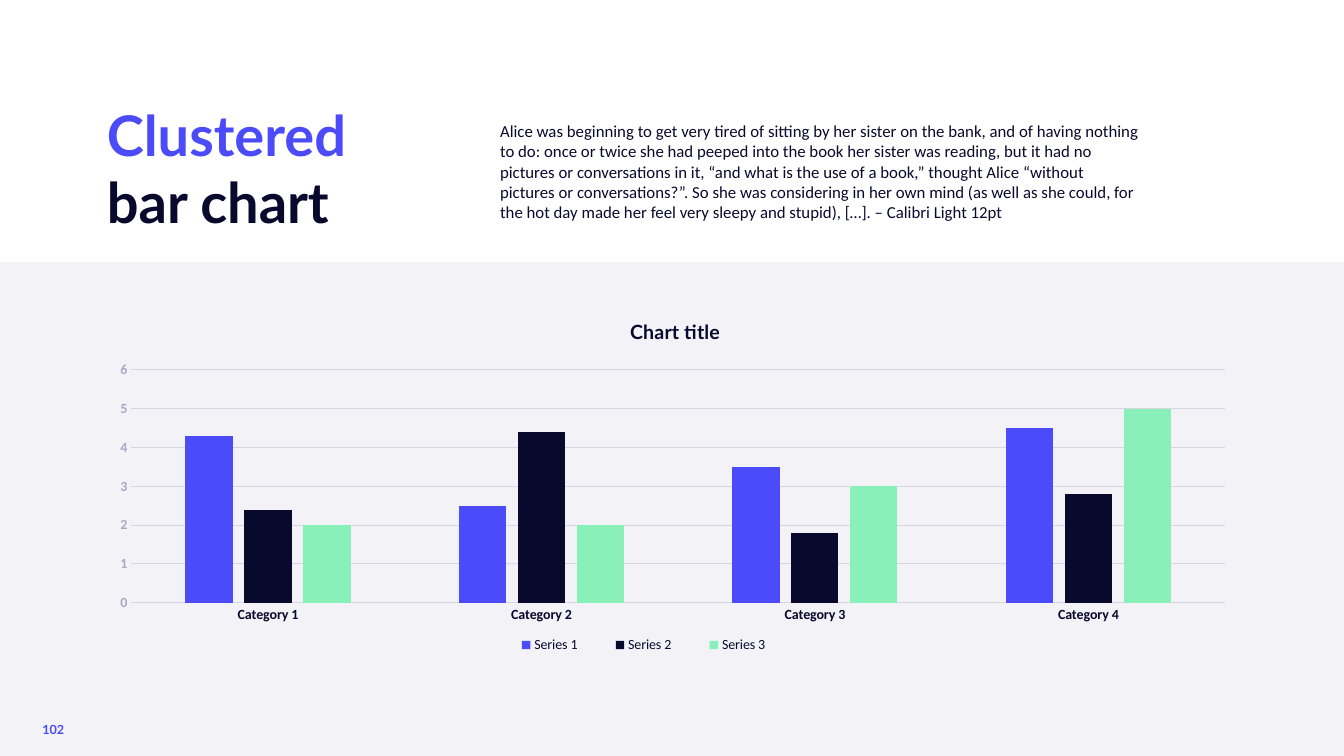
from lxml import etree
from pptx import Presentation
from pptx.chart.data import CategoryChartData
from pptx.dml.color import RGBColor
from pptx.enum.chart import XL_CHART_TYPE, XL_LEGEND_POSITION, XL_TICK_MARK
from pptx.enum.shapes import MSO_SHAPE
from pptx.enum.text import MSO_ANCHOR, MSO_AUTO_SIZE, PP_ALIGN
from pptx.oxml.ns import qn
from pptx.util import Inches, Pt

BLUE = RGBColor(0x4B, 0x4B, 0xF9)
NAVY = RGBColor(0x09, 0x09, 0x2D)
MINT = RGBColor(0x8A, 0xF0, 0xBA)
PALE = RGBColor(0xF3, 0xF3, 0xF7)
GRID = RGBColor(0xD6, 0xD6, 0xE3)
GRAY = RGBColor(0xA9, 0xA9, 0xC6)

STORY = (
    "Alice was beginning to get very tired of sitting by her sister on the bank, "
    "and of having nothing to do: once or twice she had peeped into the book her "
    "sister was reading, but it had no pictures or conversations in it, “and what "
    "is the use of a book,” thought Alice “without pictures or conversations?”. "
    "So she was considering in her own mind (as well as she could, for the hot day "
    "made her feel very sleepy and stupid), […]. – Calibri Light 12pt"
)
CATS = [f"Category {n}" for n in range(1, 5)]
SERIES = [
    ("Series 1", (4.3, 2.5, 3.5, 4.5), BLUE),
    ("Series 2", (2.4, 4.4, 1.8, 2.8), NAVY),
    ("Series 3", (2, 2, 3, 5), MINT),
]


class Page:
    head = "Lato"
    text = "Calibri"

    def __init__(self, deck):
        self.slide = deck.slides.add_slide(deck.slide_layouts[1])

    def style(self, font, name, size, color, bold=False):
        font.name, font.size, font.bold = name, Pt(size), bold
        font.color.rgb = color

    def line(self, line, color=GRID):
        line.color.rgb = color
        line.width = Pt(0.75)

    def band(self, *box):
        shape = self.slide.shapes.add_shape(MSO_SHAPE.RECTANGLE, *map(Inches, box))
        shape.shadow.inherit = False
        shape.fill.solid()
        shape.fill.fore_color.rgb = PALE
        shape.line.fill.background()

    def fill(self, shape, box, text, name, size, colors, bold=False):
        """Move a text shape and set its text, one colour per run."""
        shape.left, shape.top, shape.width, shape.height = map(Inches, box)
        frame = shape.text_frame
        frame.word_wrap = True
        frame.auto_size = MSO_AUTO_SIZE.SHAPE_TO_FIT_TEXT
        frame.vertical_anchor = MSO_ANCHOR.TOP
        par = frame.paragraphs[0]
        par.text = text
        par.alignment = PP_ALIGN.LEFT
        par.space_before = Pt(0)
        par.line_spacing = 1.0
        for run, color in zip(par.runs, colors):
            self.style(run.font, name, size, color, bold)
        return par

    def title(self, text, box):
        self.fill(self.slide.shapes.title, box, text, self.head, 40, (BLUE, NAVY), True)

    def body(self, text, box):
        par = self.fill(self.slide.placeholders[1], box, text, self.text, 12, (NAVY,))
        props = par._p.get_or_add_pPr()
        props.set("marL", "0")
        props.set("indent", "0")
        etree.SubElement(props, qn("a:buNone"))

    def number(self, text, box):
        shape = self.slide.shapes.add_textbox(0, 0, 0, 0)
        frame = shape.text_frame
        frame.margin_left = frame.margin_right = Inches(0.05)
        frame.margin_top = frame.margin_bottom = Inches(0.05)
        par = self.fill(shape, box, text, self.head, 9, (BLUE,), True)
        par.line_spacing = 0.9

    def place(self, node, index, **spot):
        """Set a chart part's layout as fractions of the chart."""
        for old in node.findall(qn("c:layout")):
            node.remove(old)
        layout = etree.Element(qn("c:layout"))
        manual = etree.SubElement(layout, qn("c:manualLayout"))
        if node.tag == qn("c:plotArea"):
            etree.SubElement(manual, qn("c:layoutTarget")).set("val", "inner")
        for key in ("x", "y"):
            etree.SubElement(manual, qn(f"c:{key}Mode")).set("val", "edge")
        for key, value in spot.items():
            etree.SubElement(manual, qn(f"c:{key}")).set("val", str(value))
        node.insert(index, layout)

    def chart(self, title, box):
        data = CategoryChartData()
        data.categories = CATS
        for name, values, _ in SERIES:
            data.add_series(name, values)
        chart = self.slide.shapes.add_chart(
            XL_CHART_TYPE.COLUMN_CLUSTERED, *map(Inches, box), data).chart
        self.style(chart.font, self.head, 10, NAVY)

        # Bars
        plot = chart.plots[0]
        plot.gap_width, plot.overlap, plot.vary_by_categories = 230, -25, False
        for bars, (_, _, color) in zip(plot.series, SERIES):
            bars.format.fill.solid()
            bars.format.fill.fore_color.rgb = color
            bars.invert_if_negative = False

        # Axes
        for axis, color in ((chart.category_axis, NAVY), (chart.value_axis, GRAY)):
            axis.major_tick_mark = axis.minor_tick_mark = XL_TICK_MARK.NONE
            self.style(axis.tick_labels.font, self.text, 10, color, True)
        self.line(chart.category_axis.format.line)
        scale = chart.value_axis
        scale.minimum_scale, scale.maximum_scale, scale.major_unit = 0, 6, 1
        scale.format.line.fill.background()
        self.line(scale.major_gridlines.format.line)

        # Title and legend
        chart.has_title = True
        par = chart.chart_title.text_frame.paragraphs[0]
        par.text = title
        self.style(par.runs[0].font, self.head, 14, NAVY, True)
        chart.has_legend = True
        chart.legend.position = XL_LEGEND_POSITION.BOTTOM
        chart.legend.include_in_layout = False
        self.style(chart.legend.font, self.text, 10, NAVY)

        # Layout
        area = chart._chartSpace.find(".//" + qn("c:plotArea"))
        self.place(area, 0, x=0.03, y=0.18, w=0.95, h=0.66)
        self.place(chart.chart_title._element, 1, x=0.46, y=0.02)
        self.place(chart.legend._element, 1, x=0.34, y=0.92, w=0.27, h=0.08)


def main():
    deck = Presentation()
    deck.slide_width, deck.slide_height = Inches(13.33), Inches(7.5)
    page = Page(deck)
    page.band(0, 2.6, 13.33, 4.9)
    page.title("Clustered\vbar chart", (0.96, 0.95, 5.55, 1.45))
    page.body(STORY, (4.86, 1.15, 6.54, 1.11))
    page.number("102", (0.37, 7.13, 0.4, 0.24))
    page.chart("Chart title", (0.96, 3.04, 11.42, 3.5))
    deck.save("out.pptx")


if __name__ == "__main__":
    main()
